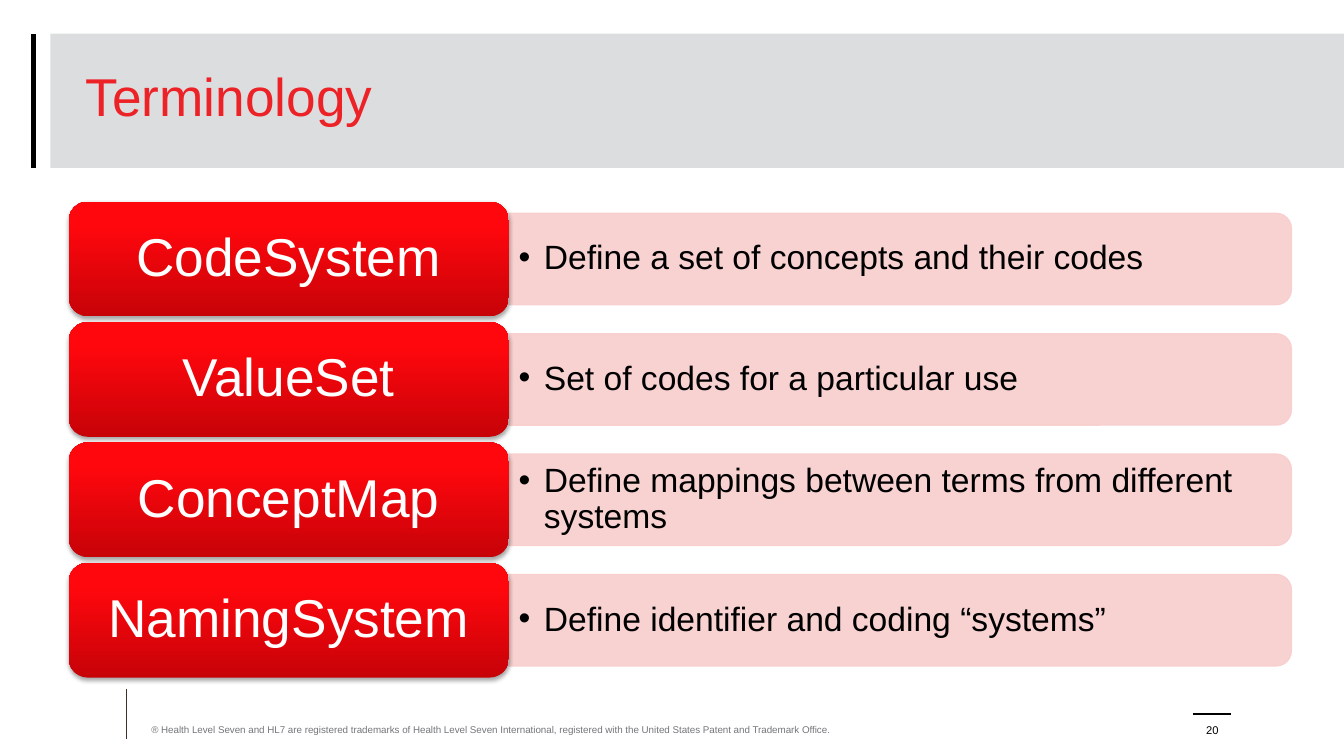
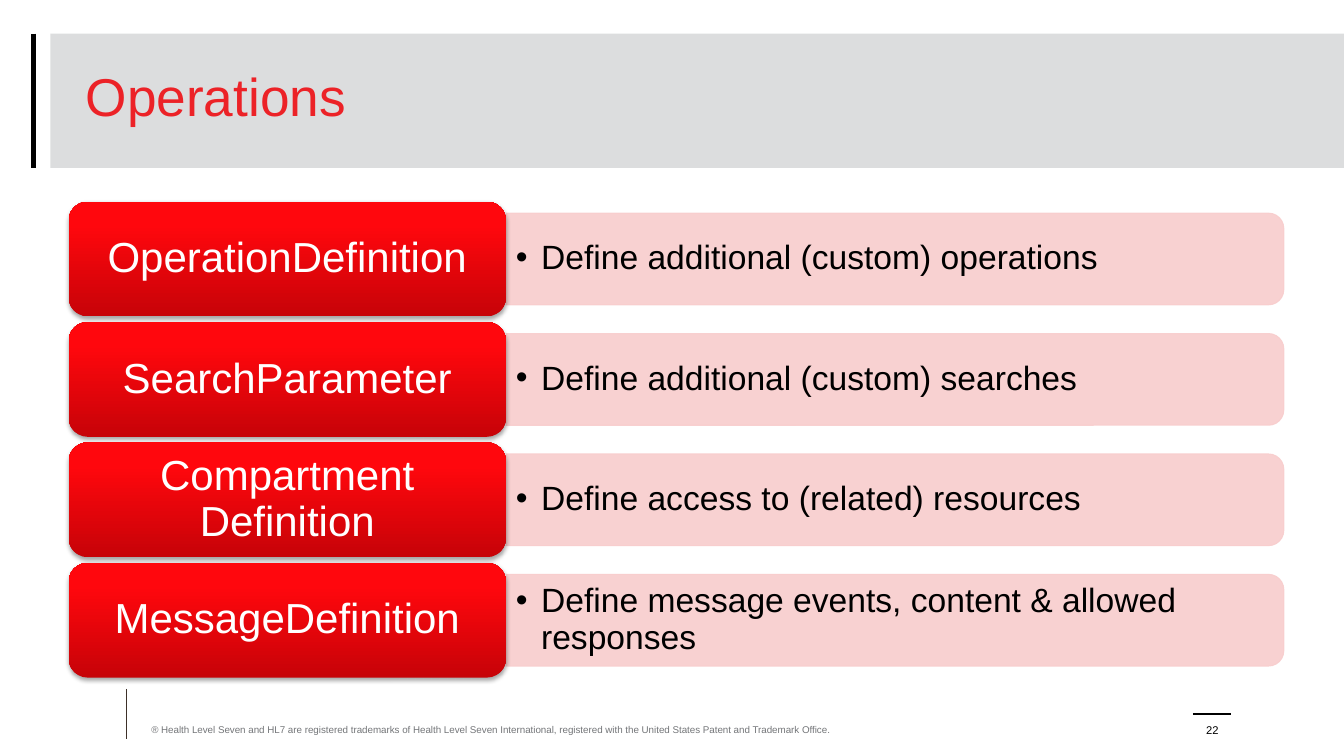
from dataclasses import dataclass
from typing import Any

import lxml.etree
import pptx
import pptx.dml.color
import pptx.enum.shapes
import pptx.enum.text
import pptx.oxml
import pptx.oxml.ns
import pptx.util

Pt = pptx.util.Pt
Anchor = pptx.enum.text.MSO_ANCHOR
Align = pptx.enum.text.PP_ALIGN
Preset = pptx.enum.shapes.MSO_SHAPE

FONT = "Arial"
COLORS = {
    "title": "EC2227",
    "header": "BABCBE",
    "rule": "000000",
    "footer_rule": "3D3029",
    "band": "F8CDCD",
    "card_low": "C70308",
    "card_mid": "FF070D",
    "card_high": "FF080E",
    "shadow": "000000",
    "card_text": "FFFFFF",
    "text": "000000",
    "footer": "747679",
}
TRADEMARK = (
    "® Health Level Seven and HL7 are registered trademarks of Health Level Seven "
    "International, registered with the United States Patent and Trademark Office."
)
LIST_LEFT = 49
LIST_TOP = 144
ROW_PITCH = 86
CARD_HEIGHT = 82
CARD_SHARE = 0.36
BAND_HEIGHT = 65.5
BAND_TEXT_HEIGHT = 59
BULLET_INDENT = 18


@dataclass(frozen=True)
class Box:
    left: float
    top: float
    width: float
    height: float

    def lengths(self) -> tuple:
        return tuple(Pt(value) for value in (self.left, self.top, self.width, self.height))


@dataclass(frozen=True)
class Rule:
    start: tuple[float, float]
    end: tuple[float, float]
    color: str
    weight: float


@dataclass(frozen=True)
class Row:
    name: str
    meaning: str


@dataclass(frozen=True)
class Topic:
    title: str
    number: str
    list_width: float
    name_size: float
    name_insets: tuple[float, float]
    rows: tuple[Row, ...]


HEADER = Box(36, 24, 924, 96)
TITLE = Box(54, 24, 856, 96)
FOOTER = Box(101, 510, 511, 18.5)
NUMBER = Box(846, 510, 40, 19.5)
RULES = (
    Rule((90, 492), (90, 528), "footer_rule", 0.5),
    Rule((24, 24), (24, 120), "rule", 3.25),
    Rule((852, 510), (879, 510), "rule", 2),
)
TOPICS = (
    Topic("Terminology", "20", 873.5, 38, (11.4, 5.7), (
        Row("CodeSystem", "Define a set of concepts and their codes"),
        Row("ValueSet", "Set of codes for a particular use"),
        Row("ConceptMap", "Define mappings between terms from different systems"),
        Row("NamingSystem", "Define identifier and coding “systems”"),
    )),
    Topic("Operations", "22", 868, 30, (9, 4.5), (
        Row("OperationDefinition", "Define additional (custom) operations"),
        Row("SearchParameter", "Define additional (custom) searches"),
        Row("Compartment Definition", "Define access to (related) resources"),
        Row("MessageDefinition", "Define message events, content & allowed responses"),
    )),
)


def rgb(name: str) -> pptx.dml.color.RGBColor:
    return pptx.dml.color.RGBColor.from_string(COLORS[name])


def set_values(target: Any, values: dict[str, Any]) -> None:
    for name, value in values.items():
        setattr(target, name, value)


def add_xml(parent: Any, tag: str, **values: Any) -> Any:
    child = lxml.etree.SubElement(parent, pptx.oxml.ns.qn(tag))
    for name, value in values.items():
        child.set(name, str(value))
    return child


def set_opacity(part: Any, percent: int) -> None:
    for color in part.iter(pptx.oxml.ns.qn("a:srgbClr")):
        add_xml(color, "a:alpha", val=percent * 1000)


def write_text(shape: Any, text: str, size: float, color: str, anchor: Any,
               align: Any = Align.LEFT, spacing: float = 1.0, bullet: bool = False,
               insets: tuple[float, float] = (7.2, 3.6)) -> None:
    across, down = (Pt(value) for value in insets)
    set_values(shape.text_frame, {
        "word_wrap": True,
        "auto_size": pptx.enum.text.MSO_AUTO_SIZE.NONE,
        "vertical_anchor": anchor,
        "margin_left": across,
        "margin_right": across,
        "margin_top": down,
        "margin_bottom": down,
    })
    para = shape.text_frame.paragraphs[0]
    set_values(para, {"alignment": align, "line_spacing": spacing})
    if bullet:
        properties = para._p.get_or_add_pPr()
        properties.set("marL", str(Pt(BULLET_INDENT)))
        properties.set("indent", str(-Pt(BULLET_INDENT)))
        add_xml(properties, "a:buFont", typeface=FONT)
        add_xml(properties, "a:buChar", char="•")
    span = para.add_run()
    span.text = text
    set_values(span.font, {"name": FONT, "size": Pt(size), "bold": False})
    span.font.color.rgb = rgb(color)


def add_text(page: Any, box: Box, *content: Any, **style: Any) -> None:
    write_text(page.shapes.add_textbox(*box.lengths()), *content, **style)


def add_filled(page: Any, preset: Any, box: Box, color: str) -> Any:
    shape = page.shapes.add_shape(preset, *box.lengths())
    shape.shadow.inherit = False
    shape.fill.solid()
    shape.fill.fore_color.rgb = rgb(color)
    shape.line.fill.background()
    return shape


def add_rule(page: Any, rule: Rule) -> None:
    ends = (Pt(value) for value in rule.start + rule.end)
    line = page.shapes.add_connector(pptx.enum.shapes.MSO_CONNECTOR.STRAIGHT, *ends)
    line.line.width = Pt(rule.weight)
    line.line.color.rgb = rgb(rule.color)
    add_xml(line.element.spPr, "a:effectLst")


def add_band(page: Any, box: Box) -> None:
    turned = Box(
        box.left + (box.width - box.height) / 2,
        box.top + (box.height - box.width) / 2,
        box.height,
        box.width,
    )
    band = add_filled(page, Preset.ROUND_2_SAME_RECTANGLE, turned, "band")
    band.rotation = 90
    band.line.width = Pt(0.75)
    band.line.color.rgb = rgb("band")
    set_opacity(band.element.spPr, 90)


def add_card(page: Any, box: Box) -> Any:
    card = add_filled(page, Preset.ROUNDED_RECTANGLE, box, "card_mid")
    properties = card.element.spPr
    solid = properties.find(pptx.oxml.ns.qn("a:solidFill"))
    gradient = pptx.oxml.parse_xml(f"<a:gradFill {pptx.oxml.ns.nsdecls('a')}/>")
    stops = add_xml(gradient, "a:gsLst")
    for percent, name in ((0, "card_low"), (80, "card_mid"), (100, "card_high")):
        stop = add_xml(stops, "a:gs", pos=percent * 1000)
        add_xml(stop, "a:srgbClr", val=COLORS[name])
    add_xml(gradient, "a:lin", ang=270 * 60000, scaled=0)
    properties.replace(solid, gradient)
    effects = properties.find(pptx.oxml.ns.qn("a:effectLst"))
    shadow = add_xml(effects, "a:outerShdw", blurRad=Pt(3.1), dist=Pt(1.8),
                     dir=90 * 60000, rotWithShape=0)
    add_xml(shadow, "a:srgbClr", val=COLORS["shadow"])
    set_opacity(shadow, 35)
    return card


def add_row(page: Any, topic: Topic, row: Row, index: int) -> None:
    card_width = topic.list_width * CARD_SHARE
    band_left = LIST_LEFT + card_width
    band_width = topic.list_width - card_width
    top = LIST_TOP + index * ROW_PITCH
    middle = top + CARD_HEIGHT / 2
    add_band(page, Box(band_left, middle - BAND_HEIGHT / 2, band_width, BAND_HEIGHT))
    text_box = Box(band_left, middle - BAND_TEXT_HEIGHT / 2, band_width, BAND_TEXT_HEIGHT)
    add_text(page, text_box, row.meaning, 24, "text", Anchor.MIDDLE, spacing=0.9, bullet=True)
    card = add_card(page, Box(LIST_LEFT, top, card_width, CARD_HEIGHT))
    write_text(card, row.name, topic.name_size, "card_text", Anchor.MIDDLE,
               align=Align.CENTER, spacing=0.9, insets=topic.name_insets)


def add_frame(page: Any, topic: Topic) -> None:
    header = add_filled(page, Preset.RECTANGLE, HEADER, "header")
    set_opacity(header.element.spPr, 50)
    for rule in RULES:
        add_rule(page, rule)
    title = page.shapes.title
    title.element.getparent().append(title.element)
    set_values(title, dict(zip(("left", "top", "width", "height"), TITLE.lengths())))
    write_text(title, topic.title, 38, "title", Anchor.MIDDLE, spacing=0.8)
    add_text(page, FOOTER, TRADEMARK, 7, "footer", Anchor.BOTTOM)
    add_text(page, NUMBER, topic.number, 8, "text", Anchor.BOTTOM, align=Align.CENTER)


def main() -> None:
    deck = pptx.Presentation()
    set_values(deck, {"slide_width": Pt(960), "slide_height": Pt(540)})
    for topic in TOPICS:
        page = deck.slides.add_slide(deck.slide_layouts[5])
        add_frame(page, topic)
        for index, row in enumerate(topic.rows):
            add_row(page, topic, row, index)
    deck.save("out.pptx")


if __name__ == "__main__":
    main()
